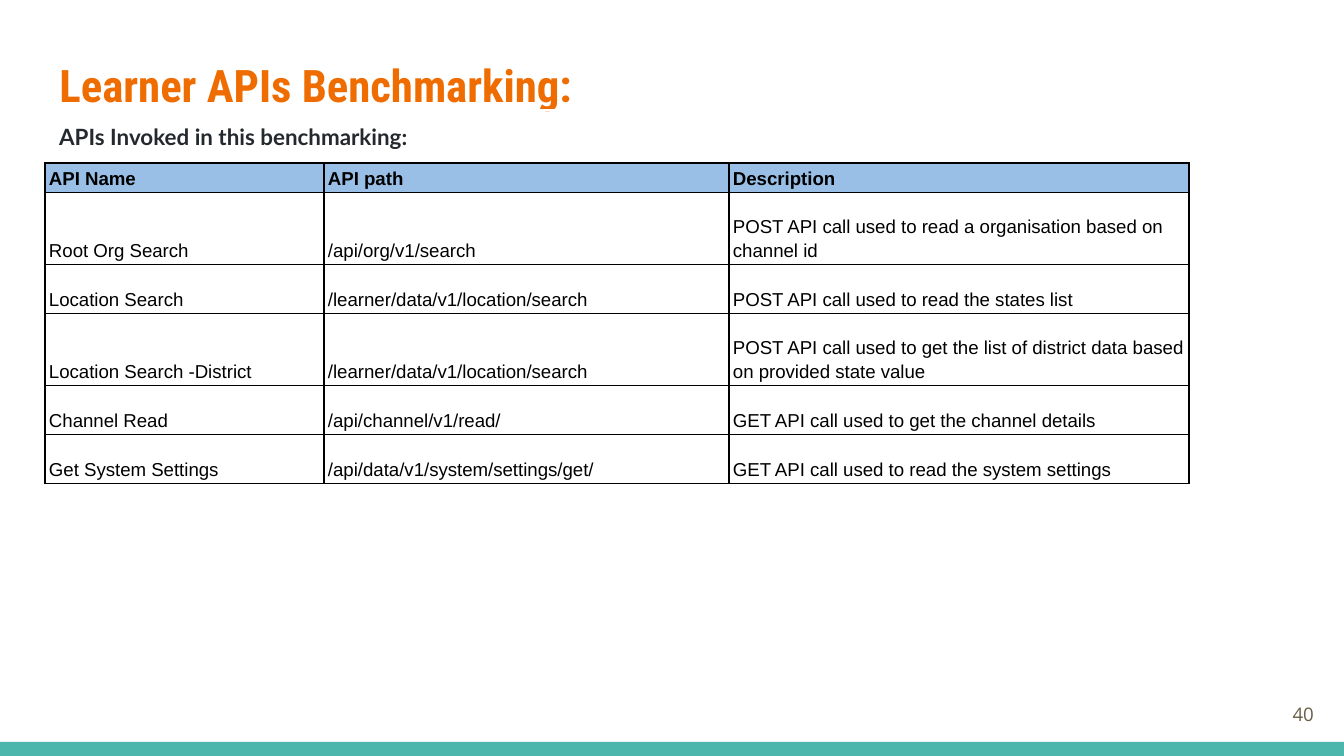
"""Builds the slide listing the learner APIs invoked in the benchmarking."""
import pptx
import pptx.dml.color
import pptx.enum.shapes
import pptx.enum.text
import pptx.oxml
import pptx.oxml.ns
import pptx.util

RGB = pptx.dml.color.RGBColor
ANCHOR = pptx.enum.text.MSO_ANCHOR
ALIGN = pptx.enum.text.PP_ALIGN
RECT = pptx.enum.shapes.MSO_SHAPE.RECTANGLE

ORANGE = RGB(0xEF, 0x6C, 0x00)
TEAL = RGB(0x4D, 0xB6, 0xAC)
INK = RGB(0x24, 0x29, 0x2E)
BROWN = RGB(0x69, 0x5D, 0x46)
BLUE = RGB(0x99, 0xBF, 0xE6)
BLACK = RGB(0, 0, 0)
WHITE = RGB(0xFF, 0xFF, 0xFF)

TITLE = "Learner APIs Benchmarking:"
SUBTITLE = "APIs Invoked in this benchmarking:"
PAGE = "40"
ROWS = [
    ("API Name", "API path", "Description"),
    ("Root Org Search", "/api/org/v1/search",
     "POST API call used to read a organisation based on channel id"),
    ("Location Search", "/learner/data/v1/location/search",
     "POST API call used to read the states list"),
    ("Location Search -District", "/learner/data/v1/location/search",
     "POST API call used to get the list of district data based on provided state value"),
    ("Channel Read", "/api/channel/v1/read/",
     "GET API call used to get the channel details"),
    ("Get System Settings", "/api/data/v1/system/settings/get/",
     "GET API call used to read the system settings"),
]
COL_WIDTHS = [279, 405, 460]
ROW_HEIGHTS = [19, 72, 49, 72, 49, 49]

TITLE_FONT = dict(name="Roboto Condensed", size=24, bold=True, color=ORANGE)
SUBTITLE_FONT = dict(name="Lato", size=12, bold=True, color=INK)
PAGE_FONT = dict(name="Open Sans", size=10, bold=False, color=BROWN)
HEAD_FONT = dict(name="Arial", size=10, bold=True, color=BLACK)
BODY_FONT = dict(HEAD_FONT, bold=False)


def px(*values):
    return [pptx.util.Emu(round(v * 914400 / 134.4)) for v in values]


def write(tf, text, font, spacing=1.0, align=ALIGN.LEFT):
    p = tf.paragraphs[0]
    p.line_spacing, p.alignment = spacing, align
    r = p.add_run()
    r.text = text
    r.font.color.rgb = font["color"]
    r.font.size = pptx.util.Pt(font["size"])
    for key in ("name", "bold"):
        setattr(r.font, key, font[key])
    return r


def set_frame(tf, anchor=ANCHOR.TOP):
    inset = pptx.util.Inches(0.1)
    values = dict(word_wrap=True, auto_size=pptx.enum.text.MSO_AUTO_SIZE.NONE,
                  vertical_anchor=anchor, margin_left=inset, margin_right=inset,
                  margin_top=inset, margin_bottom=inset)
    for key, value in values.items():
        setattr(tf, key, value)
    return tf


def add_rect(slide, *box):
    sp = slide.shapes.add_shape(RECT, *px(*box))
    sp.shadow.inherit = False
    return sp


def add_borders(cell):
    tcPr = cell._tc.get_or_add_tcPr()
    for side in "LRTB":
        tcPr.append(pptx.oxml.parse_xml(
            f'<a:ln{side} {pptx.oxml.ns.nsdecls("a")} w="9525"><a:solidFill>'
            f'<a:srgbClr val="{BLACK}"/></a:solidFill></a:ln{side}>'))


def add_api_table(slide):
    box = px(45, 163, sum(COL_WIDTHS), sum(ROW_HEIGHTS))
    table = slide.shapes.add_table(len(ROWS), len(COL_WIDTHS), *box).table
    table.horz_banding = False
    for col, width in zip(table.columns, px(*COL_WIDTHS)):
        col.width = width
    for row, height in zip(table.rows, px(*ROW_HEIGHTS)):
        row.height = height
    for i, texts in enumerate(ROWS):
        for j, text in enumerate(texts):
            cell = table.cell(i, j)
            cell.vertical_anchor = ANCHOR.BOTTOM
            cell.margin_left = cell.margin_right = pptx.util.Inches(0.03)
            cell.margin_top = cell.margin_bottom = pptx.util.Inches(0.02)
            add_borders(cell)
            cell.fill.solid()
            cell.fill.fore_color.rgb = WHITE if i else BLUE
            write(cell.text_frame, text, BODY_FONT if i else HEAD_FONT, 1.15)


def main():
    prs = pptx.Presentation()
    prs.slide_width, prs.slide_height = px(1344, 756)
    slide = prs.slides.add_slide(prs.slide_layouts[5])

    bar = add_rect(slide, 0, 742, 1344, 14)
    bar.fill.solid()
    bar.fill.fore_color.rgb = TEAL
    bar.line.fill.background()

    title = slide.shapes.title
    title.left, title.top, title.width, title.height = px(46, 36, 1252, 103)
    write(set_frame(title.text_frame), TITLE, TITLE_FONT, 1.15)

    sub = add_rect(slide, 46, 110, 969, 54)
    sub.fill.background()
    sub.line.color.rgb = WHITE
    sub.line.width = pptx.util.Pt(0.75)
    r = write(set_frame(sub.text_frame), SUBTITLE, SUBTITLE_FONT)
    r.font.fill._xPr.find(pptx.oxml.ns.qn("a:solidFill")).addnext(pptx.oxml.parse_xml(
        f'<a:highlight {pptx.oxml.ns.nsdecls("a")}><a:srgbClr val="{WHITE}"/></a:highlight>'))

    add_api_table(slide)

    number = slide.shapes.add_textbox(*px(1246, 685, 81, 58))
    write(set_frame(number.text_frame, ANCHOR.MIDDLE), PAGE, PAGE_FONT, align=ALIGN.RIGHT)
    prs.save("out.pptx")


if __name__ == "__main__":
    main()
